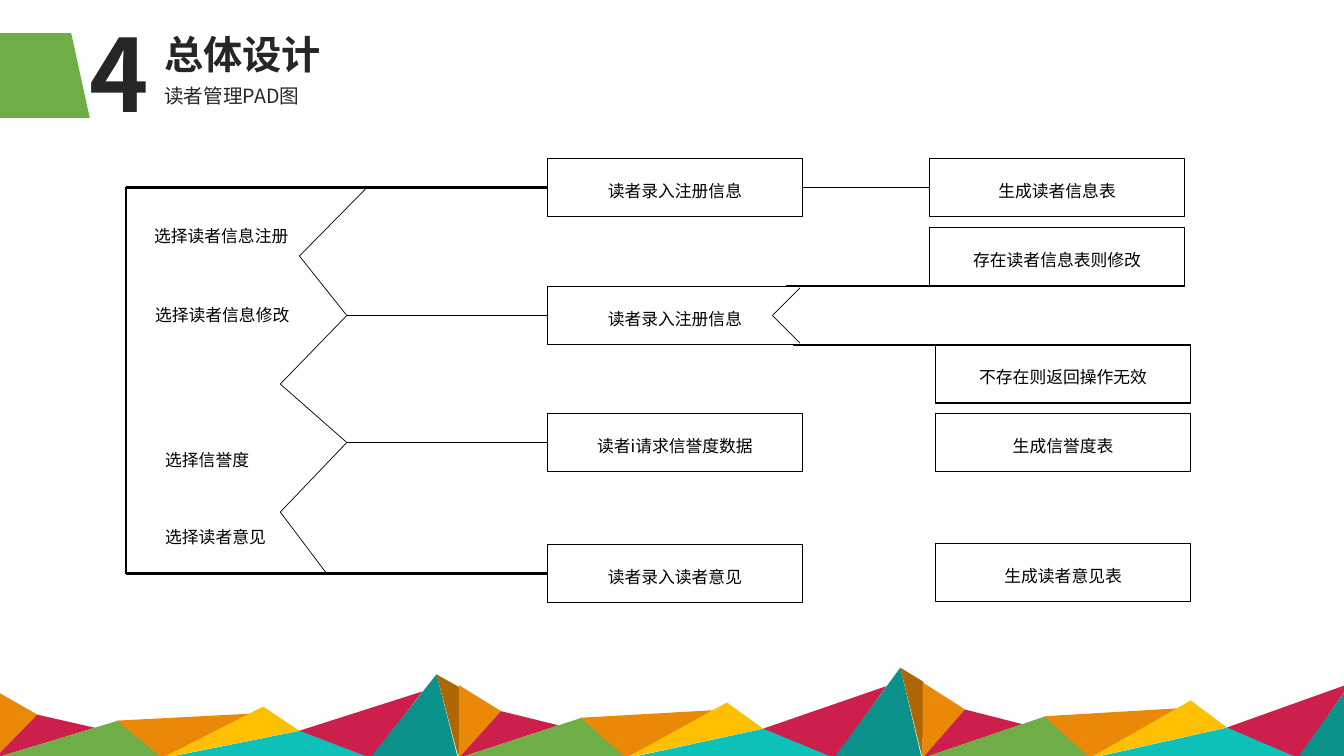
from dataclasses import dataclass
from itertools import pairwise

from lxml import etree
from pptx import Presentation
from pptx.dml.color import RGBColor
from pptx.enum.shapes import MSO_CONNECTOR, MSO_SHAPE
from pptx.enum.text import MSO_ANCHOR, MSO_AUTO_SIZE, PP_ALIGN
from pptx.oxml.ns import qn
from pptx.util import Inches, Pt

RECT = MSO_SHAPE.RECTANGLE
SLANT = MSO_SHAPE.FLOWCHART_MANUAL_INPUT
STRAIGHT = MSO_CONNECTOR.STRAIGHT
TOP, MIDDLE = MSO_ANCHOR.TOP, MSO_ANCHOR.MIDDLE
LEFT, CENTER = PP_ALIGN.LEFT, PP_ALIGN.CENTER
NO_FIT = MSO_AUTO_SIZE.NONE


@dataclass(frozen=True)
class Theme:
    font: str = "Noto Sans CJK SC"
    number: int = 72
    title: int = 28
    sub: int = 14
    body: int = 12
    ink: RGBColor = RGBColor.from_string("262626")
    black: RGBColor = RGBColor.from_string("000000")
    white: RGBColor = RGBColor.from_string("FFFFFF")
    orange: RGBColor = RGBColor.from_string("EA8807")
    red: RGBColor = RGBColor.from_string("CC1F4C")
    green: RGBColor = RGBColor.from_string("6FAD46")
    yellow: RGBColor = RGBColor.from_string("FEC001")
    cyan: RGBColor = RGBColor.from_string("0CC1B8")
    teal: RGBColor = RGBColor.from_string("09918A")
    brown: RGBColor = RGBColor.from_string("AF6605")


theme = Theme()
deck = Presentation()
deck.slide_width, deck.slide_height = Inches(13.33), Inches(7.5)
slide = deck.slides.add_slide(deck.slide_layouts[3])
shapes = slide.shapes


def write(shape, text, size, color, bold=False, align=LEFT, gap=1.3):
    frame = shape.text_frame
    frame.text = text
    para = frame.paragraphs[0]
    para.alignment, para.line_spacing, para.space_before = align, gap, Pt(0)
    props = para._p.get_or_add_pPr()
    if shape.is_placeholder:
        props.set("marL", "0")
        props.set("indent", "0")
        etree.SubElement(props, qn("a:buNone"))
    font = para.font
    font.name, font.size, font.bold = theme.font, Pt(size), bold
    font.color.rgb = color
    base = props.find(qn("a:defRPr"))
    etree.SubElement(base, qn("a:ea"), typeface=theme.font)


def rule(start, end, width):
    """Draw a plain black line between two points in inches."""
    line = shapes.add_connector(STRAIGHT, *map(Inches, start + end))
    line.line.color.rgb, line.line.width = theme.black, Pt(width)
    etree.SubElement(line._element.spPr, qn("a:effectLst"))
    return line


# Mountain band: x from the tile's left edge, height above the base line
peaks = [
    (theme.orange, [(0, 0), (0, 0.67), (0.42, 0.43)]),
    (theme.red, [(0, 0), (0.42, 0.43), (0.99, 0.3)]),
    (theme.green, [(0, 0), (1.22, 0.37), (1.68, 0)]),
    (theme.orange, [(1.21, 0.37), (2.54, 0.44), (1.66, 0)]),
    (theme.yellow, [(3.02, 0.27), (1.66, 0), (2.66, 0.51)]),
    (theme.cyan, [(3.75, 0), (1.68, 0), (3.03, 0.27)]),
    (theme.red, [(3.73, 0), (3.02, 0.27), (4.24, 0.66)]),
    (theme.teal, [(4.59, 0), (3.72, 0), (4.38, 0.83)]),
    (theme.brown, [(4.61, 0.7), (4.6, 0), (4.38, 0.83)]),
]
base_y, tile_w = 7.52, 4.6
for tile, stretch in enumerate((1, 1.08, 1.12)):
    left = tile * tile_w - 0.05
    for color, points in peaks:
        if left + min(x for x, _ in points) > 13.33:
            continue
        spots = [(Inches(left + x), Inches(base_y - h * stretch))
                 for x, h in points]
        path = shapes.build_freeform(*spots[0])
        path.add_line_segments(spots[1:], close=True)
        peak = path.convert_to_shape()
        peak.shadow.inherit = False
        peak.fill.solid()
        peak.fill.fore_color.rgb = color
        peak.line.fill.background()

# Heading
tag = shapes.add_shape(SLANT, *map(Inches, (0.01, 0.29, 0.84, 0.92)))
tag.rotation = 90
tag.shadow.inherit = False
tag.fill.solid()
tag.fill.fore_color.rgb = theme.green
tag.line.fill.background()

title, number, sub = slide.placeholders
heads = [
    (title, "总体设计", (1.53, 0.35, 3.45, 0.51), theme.title, True),
    (number, "4", (0.79, 0.25, 0.74, 0.99), theme.number, True),
    (sub, "读者管理PAD图", (1.53, 0.86, 3.45, 0.38), theme.sub, False),
]
for holder, text, place, size, bold in heads:
    holder.left, holder.top, holder.width, holder.height = map(Inches, place)
    frame = holder.text_frame
    frame.auto_size, frame.vertical_anchor = NO_FIT, TOP
    frame.margin_top = 0
    write(holder, text, size, theme.ink, bold, gap=0.9)

# Boxes of the diagram
box_w, box_h = 2.53, 0.58
mid_x, right_x, far_x = 5.43, 9.22, 9.28
cells = [
    (mid_x, 1.57, "读者录入注册信息"),
    (mid_x, 2.84, "读者录入注册信息"),
    (mid_x, 4.1, "读者i请求信誉度数据"),
    (mid_x, 5.4, "读者录入读者意见"),
    (right_x, 1.57, "生成读者信息表"),
    (right_x, 2.26, "存在读者信息表则修改"),
    (far_x, 3.42, "不存在则返回操作无效"),
    (far_x, 4.1, "生成信誉度表"),
    (far_x, 5.39, "生成读者意见表"),
]
boxes = []
for x, y, text in cells:
    box = shapes.add_shape(RECT, *map(Inches, (x, y, box_w, box_h)))
    box.shadow.inherit = False
    box.fill.solid()
    box.fill.fore_color.rgb = theme.white
    box.line.color.rgb, box.line.width = theme.black, Pt(1)
    box.text_frame.vertical_anchor = MIDDLE
    write(box, text, theme.body, theme.black, align=CENTER)
    boxes.append(box)

# Choice block on the left, with one branch to each middle box
trunk_x, tip_x = 1.25, 3.44
rows = [1.86, 3.13, 4.39, 5.69]
rule((trunk_x, rows[0]), (trunk_x, rows[-1]), 1)
starts = [(trunk_x, 1.5), (tip_x, 0.5), (tip_x, 1), (trunk_x, 1.5)]
for (x, width), y, box in zip(starts, rows, boxes):
    rule((x, y), (mid_x, y), width).end_connect(box, 1)

zigzag = [(3.64, rows[0]), (2.97, 2.54), (tip_x, rows[1]), (2.78, 3.81),
          (tip_x, rows[2]), (2.78, 5.08), (3.24, rows[3])]
for start, end in pairwise(zigzag):
    rule(start, end, 0.5)

labels = [
    (1.43, 2.13, 1.53, "选择读者信息注册"),
    (1.44, 2.91, 1.53, "选择读者信息修改"),
    (1.54, 4.35, 1.03, "选择信誉度"),
    (1.54, 5.12, 1.2, "选择读者意见"),
]
for x, y, width, text in labels:
    label = shapes.add_textbox(*map(Inches, (x, y, width, 0.28)))
    label.text_frame.word_wrap = False
    write(label, text, theme.body, theme.black)

# Open right side of the second box, with its notch and rails
notch = [(7.95, 2.84), (7.66, rows[1]), (7.95, 3.42)]
for start, end in pairwise(notch):
    rule(start, end, 0.5)
mask = shapes.add_shape(RECT, *map(Inches, (7.94, 2.84, 0.11, box_h)))
mask.shadow.inherit = False
mask.fill.solid()
mask.fill.fore_color.rgb = theme.white
mask.line.color.rgb, mask.line.width = theme.white, Pt(0.75)
rule((7.8, 2.84), (11.74, 2.84), 1.5)
rule((7.87, 3.42), (11.8, 3.42), 1.5)

link = rule((mid_x + box_w, rows[0]), (right_x, rows[0]), 0.5)
link.begin_connect(boxes[0], 3)
link.end_connect(boxes[4], 1)

deck.save("out.pptx")
